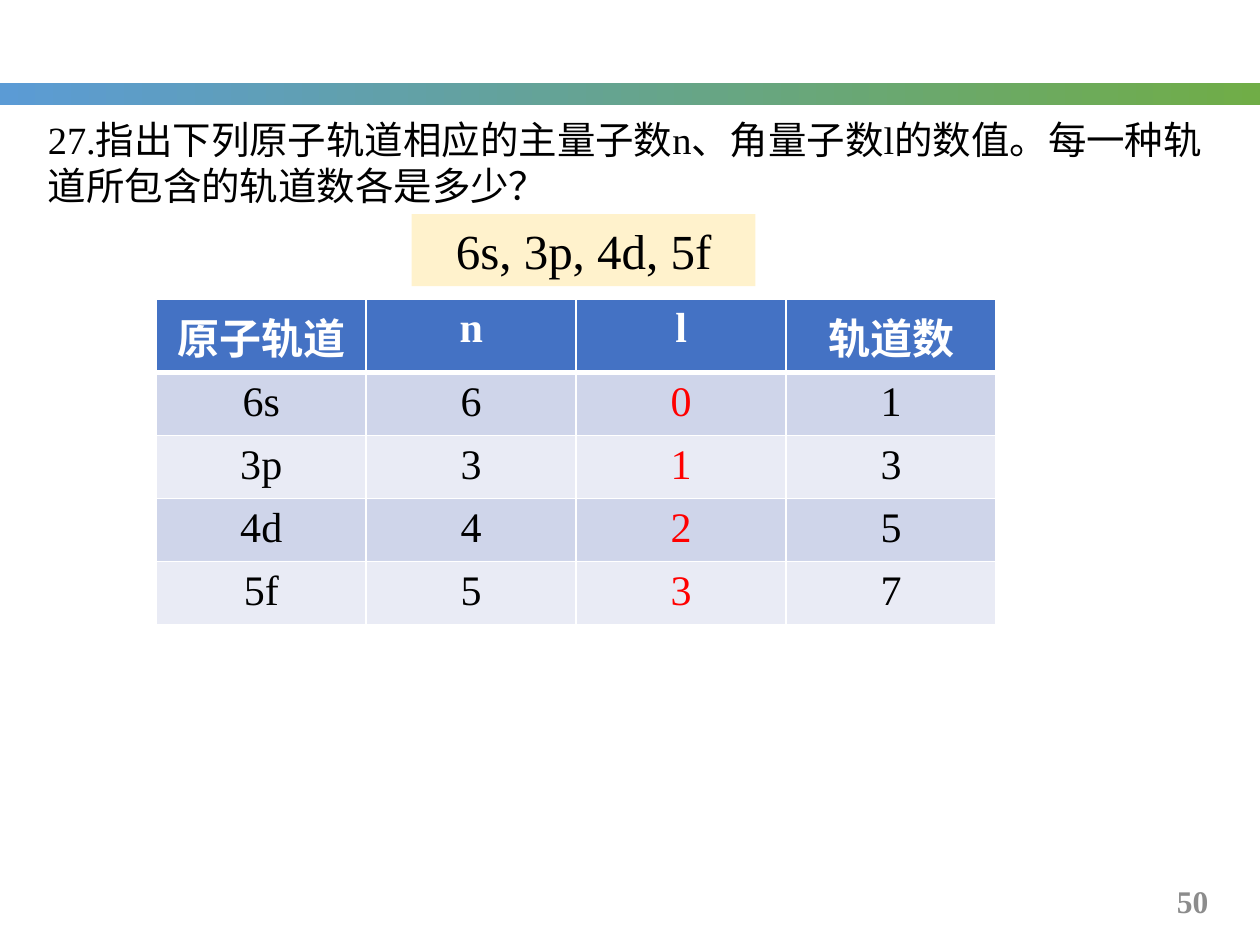
from lxml.etree import SubElement
from pptx import Presentation
from pptx.dml.color import RGBColor as RGB
from pptx.enum.shapes import MSO_SHAPE as SHAPE
from pptx.enum.text import MSO_ANCHOR as ANCHOR, MSO_AUTO_SIZE as AUTO, PP_ALIGN as ALIGN
from pptx.oxml.ns import qn
from pptx.util import Cm, Pt

BLACK, WHITE, RED = RGB(0, 0, 0), RGB(255, 255, 255), RGB(255, 0, 0)
GREY, CREAM = RGB(0x8C, 0x8C, 0x8C), RGB(0xFF, 0xF2, 0xCC)
SKY, GREEN = RGB(0x5B, 0x9B, 0xD5), RGB(0x70, 0xAD, 0x47)
HEADER = RGB(0x44, 0x72, 0xC4)
BANDS = RGB(0xE9, 0xEB, 0xF5), RGB(0xCF, 0xD5, 0xEA)

QUESTION = "27.指出下列原子轨道相应的主量子数n、角量子数l的数值。每一种轨道所包含的轨道数各是多少？"
ORBITALS = [
    ("原子轨道", "n", "l", "轨道数"),
    ("6s", "6", "0", "1"),
    ("3p", "3", "1", "3"),
    ("4d", "4", "2", "5"),
    ("5f", "5", "3", "7"),
]
L_COLUMN = 2


def write(tf, text, size, color=BLACK, bold=False, align=ALIGN.LEFT):
    p = tf.paragraphs[0]
    p.alignment = align
    r = p.add_run()
    r.text = text
    r.font.color.rgb = color
    for name, value in {"name": "Times New Roman", "size": Pt(size), "bold": bold}.items():
        setattr(r.font, name, value)


def format_frame(tf, anchor):
    frame = {"word_wrap": True, "auto_size": AUTO.NONE, "vertical_anchor": anchor}
    for name, value in frame.items():
        setattr(tf, name, value)


def add_rectangle(s, left, top, width, height):
    sp = s.shapes.add_shape(SHAPE.RECTANGLE, Cm(left), Cm(top), Cm(width), Cm(height))
    sp.shadow.inherit = False
    sp.line.fill.background()
    return sp


def add_gradient_bar(s):
    fill = add_rectangle(s, 0, 1.68, 25.4, 0.43).fill
    fill.gradient()
    fill.gradient_angle = 0
    for stop, color in zip(fill.gradient_stops, (SKY, GREEN)):
        stop.color.rgb = color


def set_question(s):
    title = s.shapes.title
    box = {"left": Cm(0.71), "top": Cm(2.21), "width": Cm(24.13), "height": Cm(2.13)}
    for name, value in box.items():
        setattr(title, name, value)
    format_frame(title.text_frame, ANCHOR.TOP)
    write(title.text_frame, QUESTION, 22)


def add_orbital_list(s):
    sp = add_rectangle(s, 8.3, 4.32, 6.93, 1.45)
    sp.fill.solid()
    sp.fill.fore_color.rgb = CREAM
    format_frame(sp.text_frame, ANCHOR.TOP)
    write(sp.text_frame, "6s, 3p, 4d, 5f", 28, align=ALIGN.CENTER)


def set_borders(cell, widths):
    tc_pr = cell._tc.get_or_add_tcPr()
    for side, width in widths.items():
        ln = SubElement(tc_pr, qn(f"a:ln{side}"), w=str(Pt(width)))
        SubElement(SubElement(ln, qn("a:solidFill")), qn("a:srgbClr"), val=str(WHITE))


def add_orbital_table(s):
    rows, cols = len(ORBITALS), len(ORBITALS[0])
    table = s.shapes.add_table(rows, cols, Cm(3.15), Cm(6.03), Cm(16.93), Cm(1.27 * rows)).table
    for i, values in enumerate(ORBITALS):
        head = i == 0
        for j, text in enumerate(values):
            cell = table.cell(i, j)
            # A thick rule separates the header from the body
            set_borders(cell, {"L": 1, "R": 1, "T": 3 if i == 1 else 1, "B": 3 if head else 1})
            cell.fill.solid()
            cell.fill.fore_color.rgb = HEADER if head else BANDS[i % 2]
            color = WHITE if head else RED if j == L_COLUMN else BLACK
            write(cell.text_frame, text, 24, color, head, ALIGN.CENTER)


def add_page_number(s):
    tf = s.shapes.add_textbox(Cm(18.9), Cm(17.65), Cm(5.71), Cm(1.02)).text_frame
    format_frame(tf, ANCHOR.MIDDLE)
    write(tf, "50", 18, GREY, True, ALIGN.RIGHT)


def main():
    prs = Presentation()
    prs.slide_width, prs.slide_height = Cm(25.4), Cm(19.05)
    s = prs.slides.add_slide(prs.slide_layouts[5])  # title only
    add_gradient_bar(s)
    add_page_number(s)
    set_question(s)
    add_orbital_list(s)
    add_orbital_table(s)
    prs.save("out.pptx")


if __name__ == "__main__":
    main()
